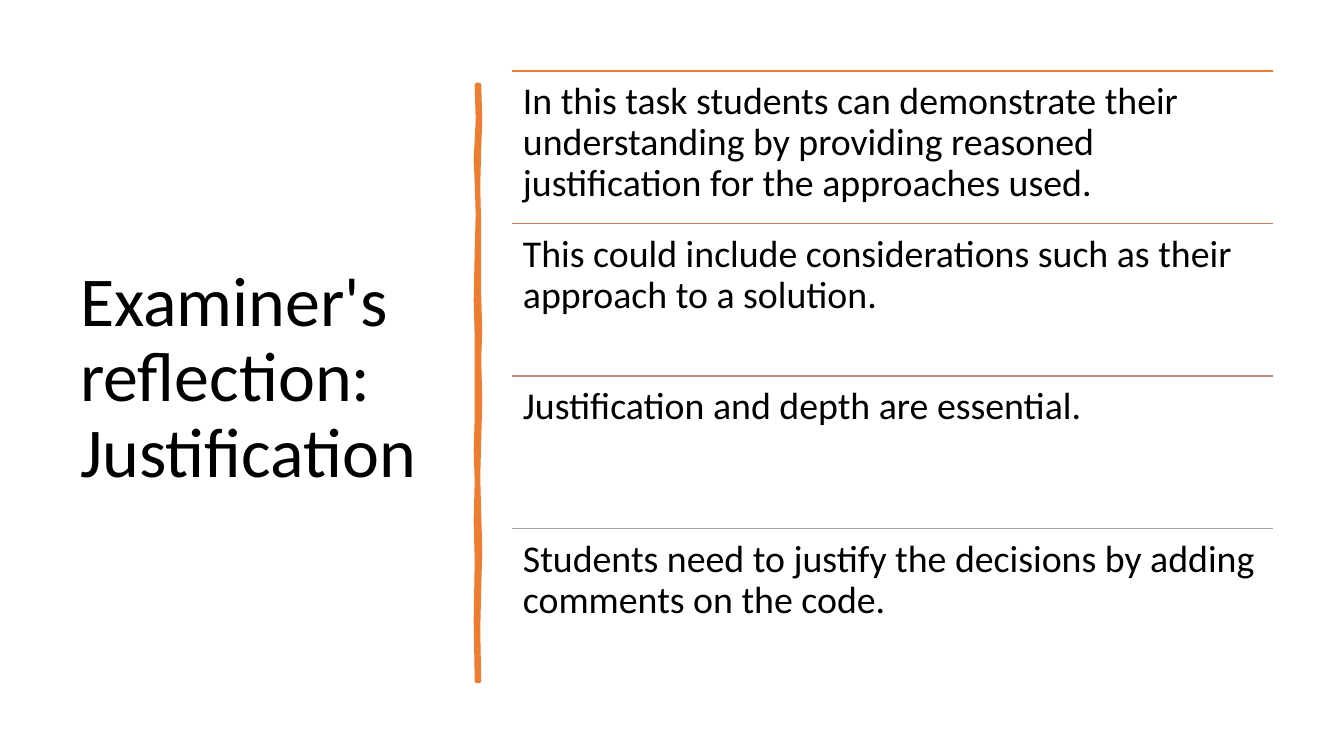
from lxml import etree
from pptx import Presentation
from pptx.dml.color import RGBColor
from pptx.enum.shapes import MSO_CONNECTOR
from pptx.enum.text import MSO_ANCHOR, MSO_AUTO_SIZE, PP_ALIGN
from pptx.oxml.ns import qn
from pptx.util import Pt

STRAIGHT = MSO_CONNECTOR.STRAIGHT
MIDDLE, TOP = MSO_ANCHOR.MIDDLE, MSO_ANCHOR.TOP
LEFT = PP_ALIGN.LEFT
NO_AUTOFIT = MSO_AUTO_SIZE.NONE
EMU_PER_PX = 914400 / 100.8
FONT = "Calibri"
ORANGE = "ED7D31"

ROWS = [
    ("ED7D31", "In this task students can demonstrate their understanding by "
               "providing reasoned justification for the approaches used. "),
    ("D17B5C", "This could include considerations such as their approach to a solution."),
    ("B98A82", "Justification and depth are essential. "),
    ("A5A5A5", "Students need to justify the decisions by adding comments on the code. "),
]

RIGHT_EDGE = [(2, 0), (3, 35), (2, 62), (1, 102), (2, 143), (2, 211), (3, 245),
              (2, 274), (3, 315), (2, 355), (1, 392), (2, 429), (3, 465),
              (2, 504), (1, 545), (2, 596)]
LEFT_EDGE = [(0, 596), (-1, 535), (0, 476), (-1, 435), (0, 396), (-1, 365),
             (0, 333), (0, 253), (-1, 215), (0, 167), (1, 130), (0, 97),
             (-1, 75), (1, 35), (0, 0)]


def px(n):
    return round(n * EMU_PER_PX)


def color(value):
    return RGBColor.from_string(value)


def write(tf, text, size, anchor, inset):
    tf.word_wrap = True
    tf.auto_size = NO_AUTOFIT
    tf.vertical_anchor = anchor
    tf.margin_left = tf.margin_right = px(inset)
    tf.margin_top = tf.margin_bottom = px(inset)
    tf.text = text
    p = tf.paragraphs[0]
    p.alignment = LEFT
    p.line_spacing = 0.9
    p.font.name = FONT
    p.font.size = Pt(size)
    p.font.color.rgb = color("000000")


def add_title(s, x, y, w, h):
    sp = s.shapes.title
    sp.left, sp.top, sp.width, sp.height = px(x), px(y), px(w), px(h)
    write(sp.text_frame, "Examiner's reflection: Justification", 50, MIDDLE, 10)


def add_brush_stroke(s, x, y):
    points = [(x + dx, y + dy) for dx, dy in RIGHT_EDGE + LEFT_EDGE]
    fb = s.shapes.build_freeform(*points[0], scale=EMU_PER_PX)
    fb.add_line_segments(points[1:], close=True)
    sp = fb.convert_to_shape()
    sp.shadow.inherit = False
    sp.fill.solid()
    sp.fill.fore_color.rgb = color(ORANGE)
    sp.line.color.rgb = color(ORANGE)
    sp.line.width = Pt(3.25)


def add_rule(shapes, x, y, w, value):
    line = shapes.add_connector(STRAIGHT, px(x), px(y), px(x + w), px(y))
    line.line.color.rgb = color(value)
    line.line.width = Pt(1)
    etree.SubElement(line._element.spPr, qn("a:effectLst"))


def add_row_list(s, x, y, w, h):
    shapes = s.shapes.add_group_shape().shapes
    row_h = h / len(ROWS)
    for i, (value, text) in enumerate(ROWS):
        top = y + i * row_h
        add_rule(shapes, x, top, w, value)
        box = shapes.add_textbox(px(x), px(top), px(w), px(row_h))
        write(box.text_frame, text, 27, TOP, 11)


def main():
    prs = Presentation()
    prs.slide_width, prs.slide_height = px(1344), px(756)
    s = prs.slides.add_slide(prs.slide_layouts[5])
    add_title(s, 70, 71, 377, 616)
    add_brush_stroke(s, 477, 85)
    add_row_list(s, 512, 71, 761, 610)
    prs.save("out.pptx")


if __name__ == "__main__":
    main()
